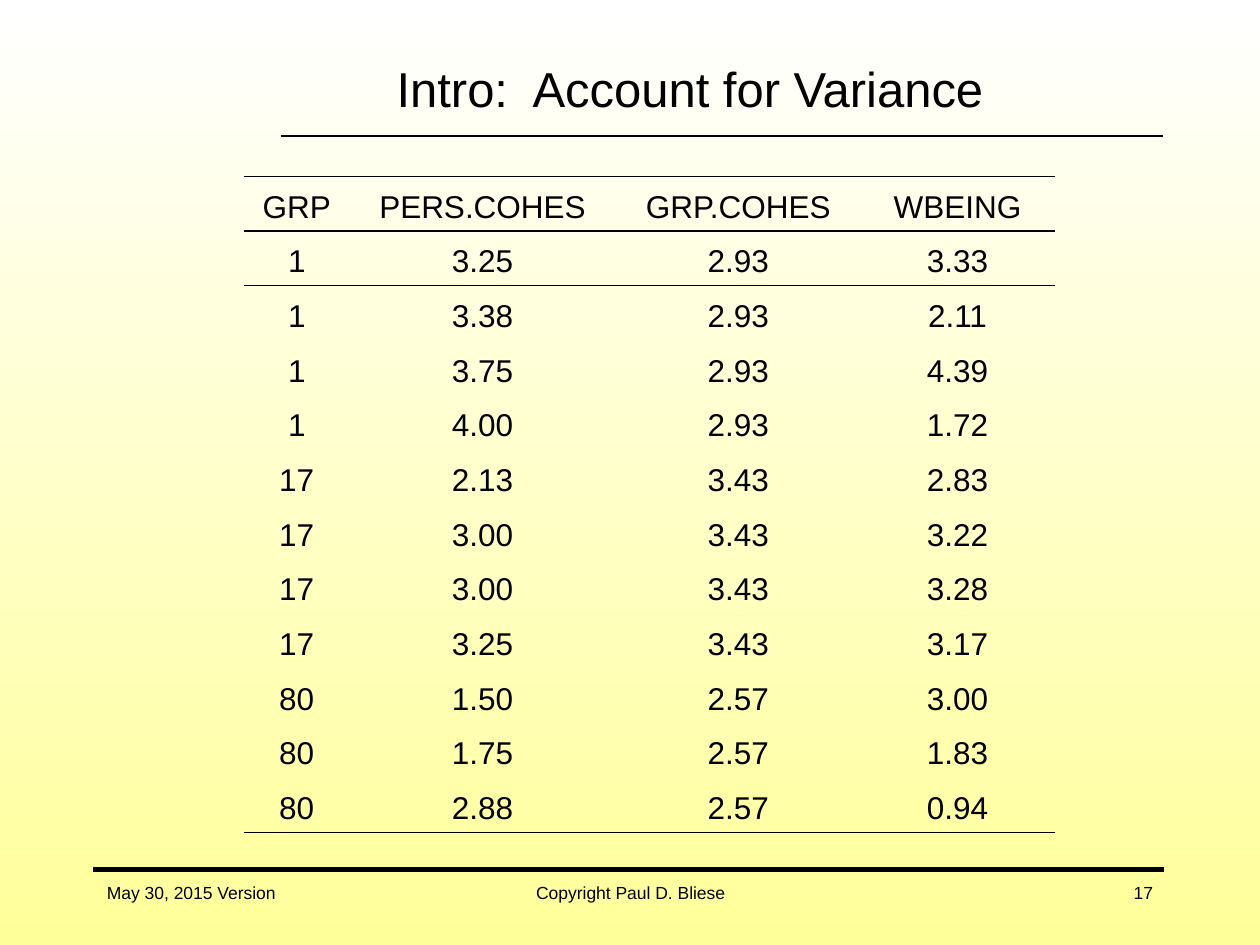
from dataclasses import dataclass

from lxml import etree
from pptx import Presentation
from pptx.dml.color import RGBColor
from pptx.enum.shapes import MSO_CONNECTOR
from pptx.enum.text import MSO_ANCHOR, MSO_AUTO_SIZE, PP_ALIGN
from pptx.oxml.ns import qn
from pptx.util import Inches, Pt

STRAIGHT = MSO_CONNECTOR.STRAIGHT
LEFT, CENTER, RIGHT = PP_ALIGN.LEFT, PP_ALIGN.CENTER, PP_ALIGN.RIGHT
MIDDLE, BOTTOM = MSO_ANCHOR.MIDDLE, MSO_ANCHOR.BOTTOM
TITLE_ONLY = 5
NO_STYLE_NO_GRID = "{2D5ABB26-0587-4C30-8999-92F81FD0307C}"


@dataclass(frozen=True)
class Theme:
    font: str = "Arial"
    ink: str = "000000"
    background_top: str = "FFFFFF"
    background_bottom: str = "FFFF99"
    title_size: int = 28
    table_size: int = 18
    footer_size: int = 10
    thin_line: float = 1
    thick_line: float = 2.75


THEME = Theme()

HEADERS = ["GRP", "PERS.COHES", "GRP.COHES", "WBEING"]
GROUPS = [
    ("1", "2.93", [("3.25", "3.33"), ("3.38", "2.11"), ("3.75", "4.39"), ("4.00", "1.72")]),
    ("17", "3.43", [("2.13", "2.83"), ("3.00", "3.22"), ("3.00", "3.28"), ("3.25", "3.17")]),
    ("80", "2.57", [("1.50", "3.00"), ("1.75", "1.83"), ("2.88", "0.94")]),
]
COLUMN_WIDTHS = [0.83, 2.12, 1.94, 1.54]
TABLE_LEFT, TABLE_TOP, ROW_HEIGHT = 1.94, 1.4, 0.434

FOOTERS = [
    ("May 30, 2015 Version", 0.75, 2.08, LEFT),
    ("Copyright Paul D. Bliese", 3.42, 3.17, CENTER),
    ("17", 7.17, 2.08, RIGHT),
]


def set_background(slide):
    fill = slide.background.fill
    fill.gradient()
    fill.gradient_angle = 270
    colors = (THEME.background_top, THEME.background_bottom)
    for stop, color in zip(fill.gradient_stops, colors):
        stop.color.rgb = RGBColor.from_string(color)


def write_text(text_frame, text, size, alignment):
    text_frame.text = text
    paragraph = text_frame.paragraphs[0]
    paragraph.alignment = alignment
    font = paragraph.runs[0].font
    formats = {"name": THEME.font, "size": Pt(size)}
    for name, value in formats.items():
        setattr(font, name, value)
    font.color.rgb = RGBColor.from_string(THEME.ink)


def format_frame(text_frame):
    formats = {
        "word_wrap": True,
        "auto_size": MSO_AUTO_SIZE.NONE,
        "vertical_anchor": MIDDLE,
    }
    for name, value in formats.items():
        setattr(text_frame, name, value)


def set_title(slide, text):
    title = slide.shapes.title
    box = {"left": 1.89, "top": 0.28, "width": 7.17, "height": 0.83}
    for name, value in box.items():
        setattr(title, name, Inches(value))
    format_frame(title.text_frame)
    write_text(title.text_frame, text, THEME.title_size, CENTER)


def add_rule(slide, left, right, y, width):
    """Draw a horizontal line across the slide."""
    rule = slide.shapes.add_connector(
        STRAIGHT, Inches(left), Inches(y), Inches(right), Inches(y)
    )
    rule.line.color.rgb = RGBColor.from_string(THEME.ink)
    rule.line.width = Pt(width)
    etree.SubElement(rule._element.spPr, qn("a:effectLst"))


def add_footer(slide, text, left, width, alignment):
    footer = slide.shapes.add_textbox(
        Inches(left), Inches(6.83), Inches(width), Inches(0.5)
    )
    format_frame(footer.text_frame)
    write_text(footer.text_frame, text, THEME.footer_size, alignment)


def add_borders(cell, sides):
    """Add cell borders; sides are listed in schema order, such as lnT, lnB."""
    properties = cell._tc.get_or_add_tcPr()
    for index, side in enumerate(sides):
        border = etree.Element(qn(f"a:{side}"), w=str(Pt(THEME.thin_line)))
        fill = etree.SubElement(border, qn("a:solidFill"))
        etree.SubElement(fill, qn("a:srgbClr"), val=THEME.ink)
        properties.insert(index, border)


def add_data_table(slide):
    rows = [HEADERS] + [
        [group, personal, group_cohesion, wellbeing]
        for group, group_cohesion, members in GROUPS
        for personal, wellbeing in members
    ]
    table = slide.shapes.add_table(
        len(rows), len(HEADERS), Inches(TABLE_LEFT), Inches(TABLE_TOP),
        Inches(sum(COLUMN_WIDTHS)), Inches(ROW_HEIGHT * len(rows)),
    ).table
    table.first_row = table.horz_banding = False
    table._tbl.tblPr.find(qn("a:tableStyleId")).text = NO_STYLE_NO_GRID
    for column, width in zip(table.columns, COLUMN_WIDTHS):
        column.width = Inches(width)

    row_borders = {0: ["lnT", "lnB"], 1: ["lnT"], len(rows) - 1: ["lnB"]}
    for row_index, values in enumerate(rows):
        table.rows[row_index].height = Inches(ROW_HEIGHT)
        for column_index, value in enumerate(values):
            cell = table.cell(row_index, column_index)
            cell.fill.background()
            cell.vertical_anchor = BOTTOM
            write_text(cell.text_frame, value, THEME.table_size, CENTER)
            add_borders(cell, row_borders.get(row_index, []))


def main():
    presentation = Presentation()
    presentation.slide_width = Inches(10)
    presentation.slide_height = Inches(7.5)
    slide = presentation.slides.add_slide(presentation.slide_layouts[TITLE_ONLY])
    set_background(slide)
    add_rule(slide, 2.23, 9.23, 1.08, THEME.thin_line)
    add_rule(slide, 0.74, 9.24, 6.9, THEME.thick_line)
    for footer in FOOTERS:
        add_footer(slide, *footer)
    set_title(slide, "Intro:  Account for Variance")
    add_data_table(slide)
    presentation.save("out.pptx")


if __name__ == "__main__":
    main()
